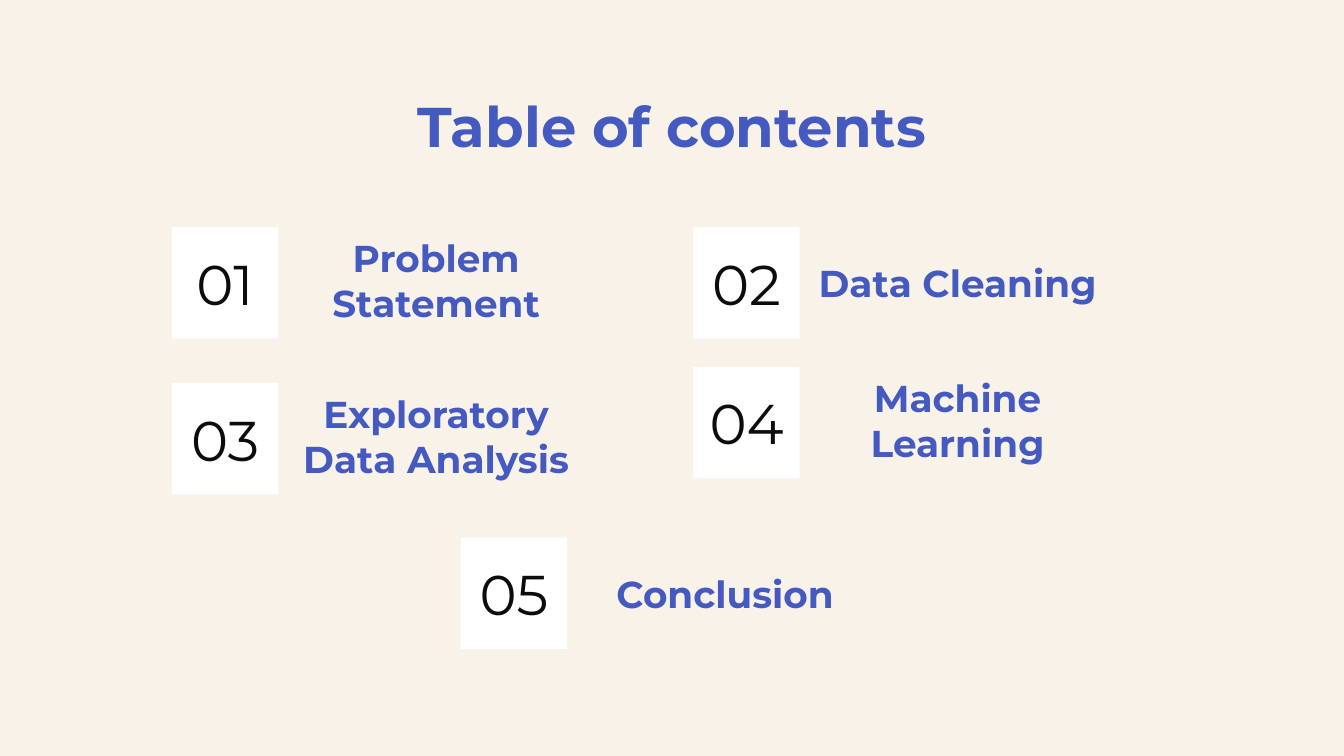
from pptx import Presentation
from pptx.dml.color import RGBColor
from pptx.enum.shapes import MSO_SHAPE
from pptx.enum.text import MSO_ANCHOR, PP_ALIGN
from pptx.util import Inches, Pt

FONT = "Montserrat"
CREAM, WHITE, BLUE, BLACK = "F8F2E9", "FFFFFF", "455AC0", "0C0C0C"

# Grid, in inches
LEFT_COLUMN, MIDDLE_COLUMN, RIGHT_COLUMN = 1.28, 3.43, 5.16
FIRST_ROW, SECOND_ROW_RIGHT, SECOND_ROW_LEFT, LAST_ROW = 1.69, 2.73, 2.85, 4
NUMBER_WIDTH, LABEL_WIDTH, ENTRY_HEIGHT = 0.79, 2.35, 0.83

# Label, column, row, vertical anchor
ENTRIES = [
    ("Problem Statement", LEFT_COLUMN, FIRST_ROW, MSO_ANCHOR.BOTTOM),
    ("Data Cleaning", RIGHT_COLUMN, FIRST_ROW, MSO_ANCHOR.MIDDLE),
    ("Exploratory Data Analysis", LEFT_COLUMN, SECOND_ROW_LEFT, MSO_ANCHOR.BOTTOM),
    ("Machine Learning", RIGHT_COLUMN, SECOND_ROW_RIGHT, MSO_ANCHOR.BOTTOM),
    ("Conclusion", MIDDLE_COLUMN, LAST_ROW, MSO_ANCHOR.MIDDLE),
]


def set_fill(fill, color):
    fill.solid()
    fill.fore_color.rgb = RGBColor.from_string(color)


def write_text(shape, text, size, color, bold, anchor):
    frame = shape.text_frame
    frame.word_wrap = True
    frame.vertical_anchor = anchor
    frame.margin_left = frame.margin_right = Inches(0.1)
    frame.margin_top = frame.margin_bottom = Inches(0.1)
    paragraph = frame.paragraphs[0]
    paragraph.text = text
    paragraph.alignment = PP_ALIGN.CENTER
    font = paragraph.font
    font.name, font.size, font.bold = FONT, Pt(size), bold
    font.color.rgb = RGBColor.from_string(color)


def add_label(slide, box, text, size, anchor):
    shape = slide.shapes.add_textbox(*map(Inches, box))
    write_text(shape, text, size, BLUE, True, anchor)


def add_number(slide, box, text):
    shape = slide.shapes.add_shape(MSO_SHAPE.RECTANGLE, *map(Inches, box))
    shape.shadow.inherit = False
    set_fill(shape.fill, WHITE)
    shape.line.fill.background()
    write_text(shape, text, 30, BLACK, False, MSO_ANCHOR.MIDDLE)


def add_entry(slide, number, label, left, top, anchor):
    add_number(slide, (left, top, NUMBER_WIDTH, ENTRY_HEIGHT), f"{number:02d}")
    label_box = (left + NUMBER_WIDTH, top, LABEL_WIDTH, ENTRY_HEIGHT)
    add_label(slide, label_box, label, 20, anchor)


def main():
    # Widescreen slide, 16:9
    presentation = Presentation()
    presentation.slide_width = Inches(10)
    presentation.slide_height = Inches(10 * 9 / 16)
    slide = presentation.slides.add_slide(presentation.slide_layouts[6])
    set_fill(slide.background.fill, CREAM)

    # Heading
    add_label(slide, (0.78, 0.58, 8.44, 0.63), "Table of contents", 30, MSO_ANCHOR.TOP)

    # Numbered contents
    for number, entry in enumerate(ENTRIES, start=1):
        add_entry(slide, number, *entry)

    presentation.save("out.pptx")


if __name__ == "__main__":
    main()
